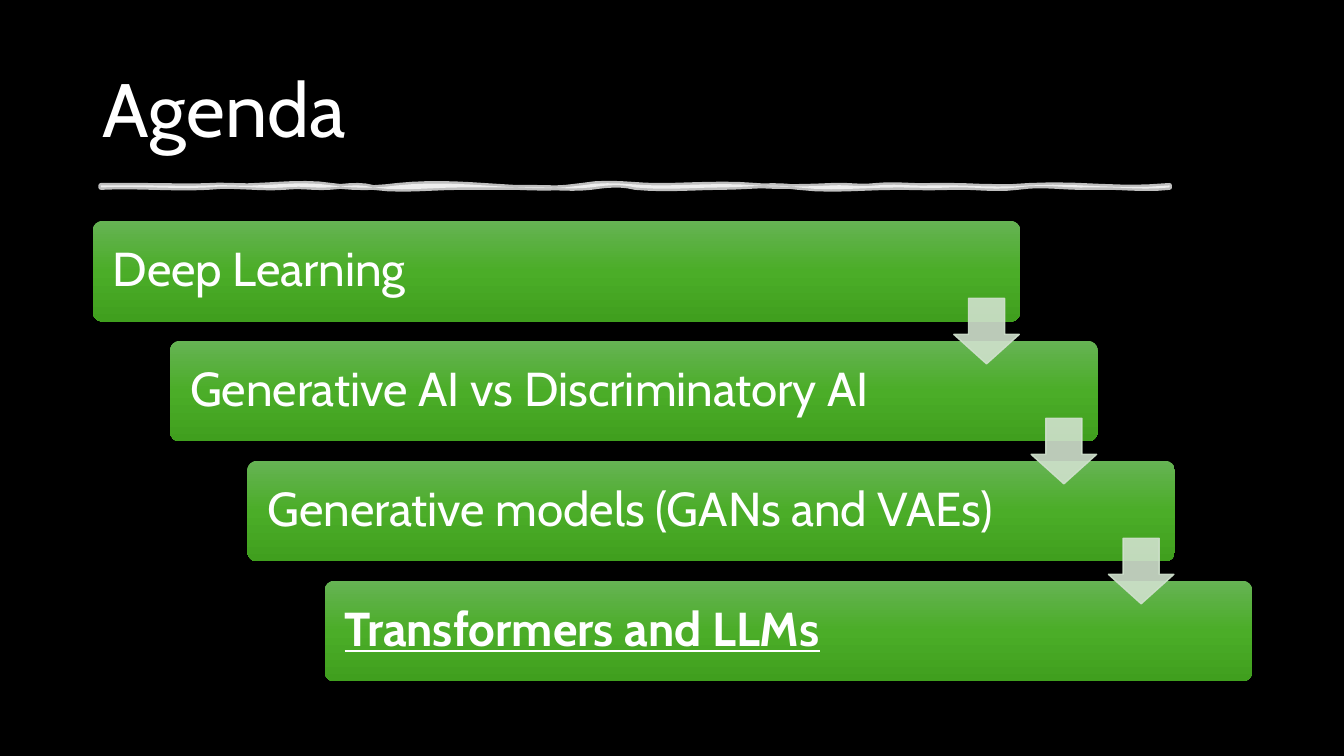
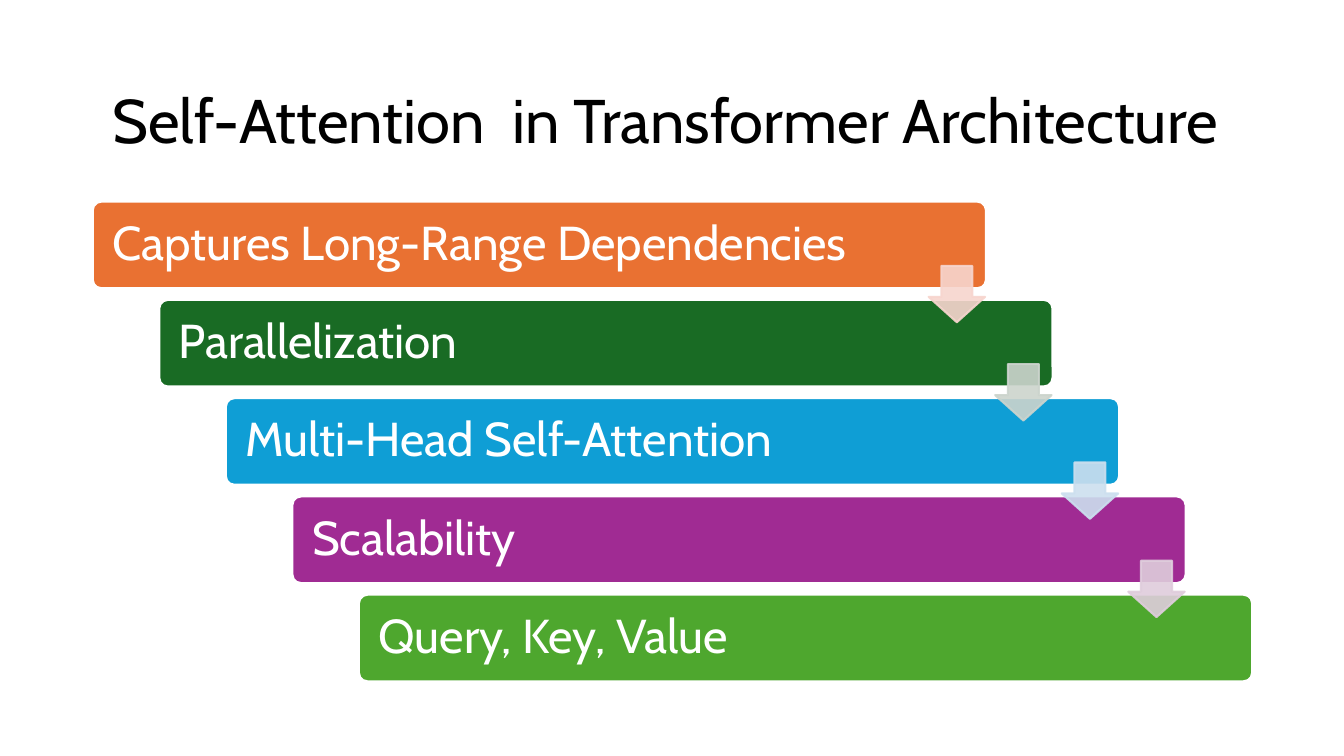
from copy import deepcopy
from dataclasses import dataclass

from lxml import etree
from pptx import Presentation
from pptx.dml.color import RGBColor
from pptx.enum import shapes, text
from pptx.oxml.ns import qn
from pptx.util import Pt

PX = 9144  # 100 px to the inch


@dataclass(frozen=True)
class Theme:
    font: str = "Cabin"
    white: str = "FFFFFF"
    black: str = "000000"
    green: tuple = ((0, "66B354"), (0.5, "4BAD28"), (1, "409F1E"))
    step: int = 34
    inset: int = 17
    right: int = 1242
    bottom: int = 676


T = Theme()

AGENDA = dict(
    title=dict(words="Agenda", at=(92, 40, 1150, 145), size=54, color=T.white),
    back=T.black,
    steps=[
        ("Deep Learning", T.green, "D0E1CD"),
        ("Generative AI vs Discriminatory AI", T.green, "D0E1CD"),
        ("Generative models (GANs and VAEs)", T.green, "D0E1CD"),
        ("Transformers and LLMs", T.green, None),
    ],
    first=(92, 219, 920, 100), edge=None, rim=1, strong=3,
)
FOCUS = dict(
    title=dict(words="Self-Attention  in Transformer Architecture ",
               at=(92, 61, 1150, 124), size=44, color=T.black,
               align=text.PP_ALIGN.CENTER),
    back=T.white,
    steps=[
        ("Captures Long-Range Dependencies", "E97132", "F7D5CE"),
        ("Parallelization", "196B24", "CCD4CD"),
        ("Multi-Head Self-Attention", "0F9ED5", "CCDFEF"),
        ("Scalability", "A02B93", "DFCDDC"),
        ("Query, Key, Value", "4EA72E", None),
    ],
    first=(92, 200, 886, 86), edge=T.white, rim=1.5, strong=None,
)

# Brush stroke edges: end x, then how far the two curve handles stray in y
UPPER = [(144, 0, 0), (209, 0, 1), (253, -1, 1), (329, -1, -4), (394, 3, 3),
         (480, -3, -2), (577, 2, 5), (653, -5, 0), (750, 0, -3), (825, 2, 1),
         (869, -1, 2), (924, -2, 1), (1021, -1, 3), (1160, -3, 5)]
LOWER = [(1084, 3, -1), (1009, 1, -4), (943, 3, -1), (889, 1, 0), (792, 0, 4),
         (716, -4, 0), (630, 0, 3), (586, -4, -2), (532, 2, 0), (456, 0, 0),
         (370, 0, 4), (326, -4, -1), (282, 1, -2), (206, 2, -3), (100, 2, -2)]


def emu(*lengths):
    return [round(n * PX) for n in lengths]


def rgb(code):
    return RGBColor.from_string(code)


def write(shape, words, size, color=T.white, align=text.PP_ALIGN.LEFT,
          inset=10, strong=False):
    frame = shape.text_frame
    frame.word_wrap = True
    frame.vertical_anchor = text.MSO_ANCHOR.MIDDLE
    frame.margin_left = frame.margin_right = inset * PX
    para = frame.paragraphs[0]
    para.alignment, para.line_spacing = align, 0.9
    run = para.add_run()
    run.text = words
    font = run.font
    font.name, font.size, font.color.rgb = T.font, Pt(size), rgb(color)
    if strong:
        font.bold = font.underline = True


def paint(shape, fill, line=None, width=1, alpha=None):
    """Fill with one colour, or with (position, colour) stops running down."""
    shape.shadow.inherit = False
    if isinstance(fill, str):
        shape.fill.solid()
        shape.fill.fore_color.rgb = rgb(fill)
    else:
        shape.fill.gradient()
        shape.fill.gradient_angle = 270
        stops = shape._element.xpath("./p:spPr//a:gsLst")[0]
        while len(stops) < len(fill):
            stops.append(deepcopy(stops[0]))
        for stop, (place, color) in zip(shape.fill.gradient_stops, fill):
            stop.position, stop.color.rgb = place, rgb(color)
    if line:
        shape.line.color.rgb = rgb(line)
        shape.line.width = Pt(width)
    else:
        shape.line.fill.background()
    if alpha:
        for color in shape._element.xpath("./p:spPr//a:srgbClr"):
            etree.SubElement(color, qn("a:alpha")).set("val", str(alpha * 1000))


def trace(x, y, edge, cuts=6):
    """Points along a chain of cubic curves that all end at height y."""
    for end, one, two in edge:
        for i in range(1, cuts + 1):
            t = i / cuts
            rise = 3 * t * (1 - t) * ((1 - t) * one + t * two)
            yield 10 * (x + (end - x) * t), 10 * (y + rise)
        x = end


def brush(slide):
    pen = slide.shapes.build_freeform(1000, 1840, scale=PX / 10)
    pen.add_line_segments([*trace(100, 184, UPPER), (11600, 1860),
                           *trace(1160, 186, LOWER)], close=True)
    paint(pen.convert_to_shape(), T.white, T.white, 3.5, alpha=75)


def stairs(slide, steps, first, edge, rim, strong):
    x, y, w, h = first
    gaps = len(steps) - 1
    dx, dy = (T.right - x - w) / gaps, (T.bottom - y - h) / gaps
    add = slide.shapes.add_shape
    for i, (words, fill, _) in enumerate(steps):
        bar = add(shapes.MSO_SHAPE.ROUNDED_RECTANGLE,
                  *emu(x + i * dx, y + i * dy, w, h))
        bar.adjustments[0] = 0.1
        paint(bar, fill, edge, rim)
        write(bar, words, T.step, inset=T.inset, strong=i == strong)
    size = 0.65 * h
    for i, (_, _, tint) in enumerate(steps[:-1]):
        mid = y + i * dy + (h + dy) / 2
        arrow = add(shapes.MSO_SHAPE.DOWN_ARROW,
                    *emu(x + i * dx + w - size - 1, mid - size / 2, size, size))
        arrow.adjustments[0], arrow.adjustments[1] = 0.55, 0.45
        paint(arrow, tint, tint, rim, alpha=90)


def start(deck, title, back):
    slide = deck.slides.add_slide(deck.slide_layouts[6])
    slide.background.fill.solid()
    slide.background.fill.fore_color.rgb = rgb(back)
    style = dict(title)
    write(slide.shapes.add_textbox(*emu(*style.pop("at"))), **style)
    return slide


def main():
    deck = Presentation()
    deck.slide_width, deck.slide_height = emu(1333, 750)
    for page in (AGENDA, FOCUS):
        plan = dict(page)
        slide = start(deck, plan.pop("title"), plan.pop("back"))
        if page is AGENDA:
            brush(slide)
        stairs(slide, **plan)
    deck.save("out.pptx")


if __name__ == "__main__":
    main()
